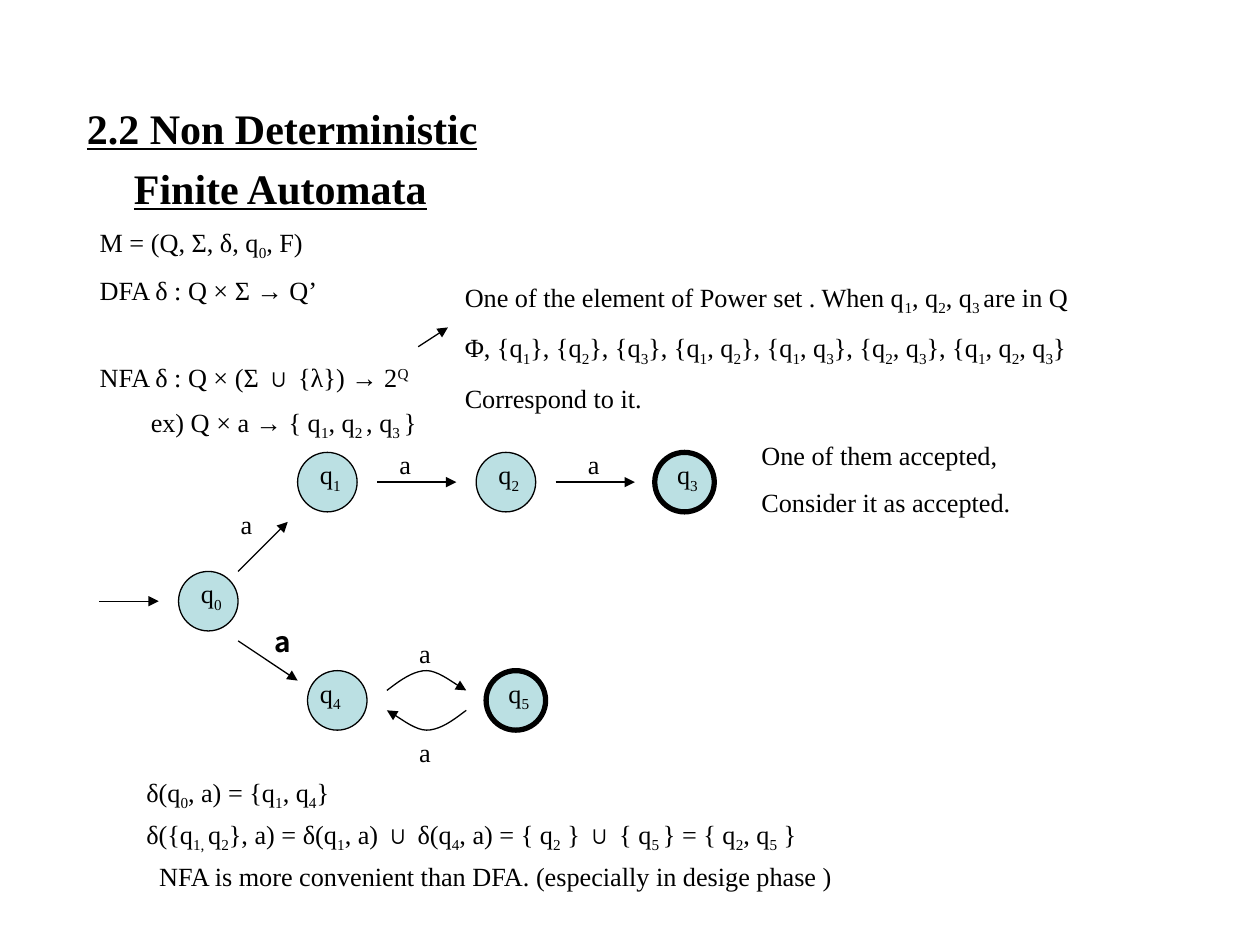
from lxml.etree import SubElement
from pptx import Presentation
from pptx.dml.color import RGBColor
from pptx.enum.shapes import MSO_CONNECTOR as Connector, MSO_SHAPE as Shape
from pptx.oxml.ns import qn
from pptx.util import Cm, Inches, Pt

SERIF = "Times New Roman"
BLACK = "000000"
NODE_SIZE = 1.2
NODES = [
    ("0", 1.6, 2.4, False), ("1", 4, 0, False), ("2", 7.6, 0, False),
    ("3", 11.2, 0, True), ("4", 4.2, 4.4, False), ("5", 7.8, 4.4, True),
]
TRANSITIONS = [
    (0, 3, 1.2, 3), (2.8, 2.4, 3.8, 1.4), (5.6, 0.6, 7.2, 0.6),
    (9.2, 0.6, 10.8, 0.6), (2.8, 3.8, 4, 4.6),
]
INPUT_LABELS = [(6.2, 5.6), (9.6, -0.2), (5.8, -0.2), (2.6, 1), (6.2, 3.6)]
LOOP_CURVES = [
    ((5.8, 4.8), (6.06, 4.6), (6.33, 4.4), (6.6, 4.4)),
    ((6.6, 4.4), (6.86, 4.4), (7.2, 4.7), (7.4, 4.8)),
]


def color(value):
    """Turn a hex string into a colour."""
    return RGBColor.from_string(value)


def add_marked_runs(paragraph, marked):
    """Add runs; text between bars is a subscript, or a superscript after ^."""
    for index, part in enumerate(marked.split("|")):
        if not part:
            continue
        run = paragraph.add_run()
        run.text = part.lstrip("^")
        if index % 2:
            baseline = "30000" if part.startswith("^") else "-25000"
            run._r.get_or_add_rPr().set("baseline", baseline)


def add_text(shapes, box, lines, gap=0, size=15, font=SERIF, bold=False):
    """Place lines of text in a box and return its paragraphs."""
    frame = shapes.add_textbox(*map(Cm, box)).text_frame
    frame.word_wrap = True
    for index, line in enumerate(lines):
        paragraph = frame.add_paragraph() if index else frame.paragraphs[0]
        paragraph.font.name = font
        paragraph.font.size = Pt(size)
        paragraph.font.bold = bold
        paragraph.font.color.rgb = color(BLACK)
        if index:
            paragraph.space_before = Pt(gap)
        add_marked_runs(paragraph, line)
    return frame.paragraphs


def indent(paragraph, left, first=0):
    """Set the left margin and first-line indent of a paragraph."""
    properties = paragraph._p.get_or_add_pPr()
    properties.set("marL", str(Cm(left)))
    properties.set("indent", str(Cm(first)))


def style_arrow(arrow):
    """Give a line a thin black stroke and a triangular head."""
    arrow.line.color.rgb = color(BLACK)
    arrow.line.width = Pt(0.75)
    SubElement(arrow.line._get_or_add_ln(), qn("a:tailEnd"), type="triangle")


def add_arrow(shapes, x1, y1, x2, y2):
    """Draw a straight arrow."""
    arrow = shapes.add_connector(Connector.STRAIGHT, *map(Cm, (x1, y1, x2, y2)))
    style_arrow(arrow)
    SubElement(arrow._element.spPr, qn("a:effectLst"))


def add_curved_arrow(shapes, points):
    """Draw an arrow through the given points."""
    corners = [(Cm(x), Cm(y)) for x, y in points]
    builder = shapes.build_freeform(*corners[0])
    builder.add_line_segments(corners[1:], close=False)
    curve = builder.convert_to_shape()
    curve.shadow.inherit = False
    curve.fill.background()
    style_arrow(curve)


def bezier(start, control1, control2, end, steps=10):
    """Return points along a cubic curve, without its start."""
    points = []
    for step in range(1, steps + 1):
        t = step / steps
        weights = ((1 - t) ** 3, 3 * t * (1 - t) ** 2, 3 * t**2 * (1 - t), t**3)
        points.append(tuple(
            sum(w * value for w, value in zip(weights, axis))
            for axis in zip(start, control1, control2, end)
        ))
    return points


def add_state(shapes, left, top, number, accepting):
    """Draw one state of the automaton with its name."""
    state = shapes.add_shape(
        Shape.OVAL, *map(Cm, (left, top, NODE_SIZE, NODE_SIZE)))
    state.shadow.inherit = False
    state.fill.solid()
    state.fill.fore_color.rgb = color("BBE0E3")
    state.line.color.rgb = color(BLACK)
    state.line.width = Pt(3 if accepting else 0.75)
    shift = 0 if number == "4" else 0.2
    add_text(shapes, (left + shift, top, 1.6, 0.89), [f"q|{number}|"])


def add_definitions(shapes, left, top, width, height):
    """Write the heading and the definitions of both automata."""
    heading, *definitions = add_text(shapes, (left, top, width, height), [
        "2.2 Non Deterministic Finite Automata",
        "M = (Q, Σ, δ, q|0|, F)",
        "DFA δ : Q × Σ → Q’",
        "NFA δ : Q × (Σ ∪ {λ}) → 2|^Q|",
        "ex) Q × a → { q|1|, q|2 |, q|3 |}",
    ], gap=3.5)
    heading.font.size = Pt(24)
    heading.font.bold = True
    heading.font.underline = True
    indent(heading, 0.95, -0.95)
    for definition in definitions:
        indent(definition, 0.26)
    indent(definitions[-1], 1.29)
    definitions[2].space_before = Pt(28)
    for paragraph in (heading, *definitions):
        paragraph.line_spacing = 1.2


def add_power_set(shapes, left, top, width, height):
    """Explain the power set and point to it from the definition."""
    add_text(shapes, (left, top, width, height), [
        "One of the element of Power set . When q|1|, q|2|, q|3 |are in Q",
        "Φ, {q|1|}, {q|2|}, {q|3|}, {q|1|, q|2|}, {q|1|, q|3|}, "
        "{q|2|, q|3|}, {q|1|, q|2|, q|3|}",
        "Correspond to it.",
    ], gap=8.5)
    add_arrow(shapes, left - 0.69, top + 1.45, left - 0.09, top + 1.06)


def add_automaton(shapes, left, top):
    """Draw the state diagram."""
    diagram = shapes.add_group_shape().shapes
    for number, x, y, accepting in NODES:
        add_state(diagram, left + x, top + y, number, accepting)
    for x1, y1, x2, y2 in TRANSITIONS:
        add_arrow(diagram, left + x1, top + y1, left + x2, top + y2)
    forward = [LOOP_CURVES[0][0]]
    for curve in LOOP_CURVES:
        forward += bezier(*curve)
    backward = [(13.2 - x, 10 - y) for x, y in forward]
    for points in (forward, backward):
        add_curved_arrow(diagram, [(left + x, top + y) for x, y in points])
    for x, y in INPUT_LABELS:
        add_text(diagram, (left + x, top + y, 0.86, 0.89), ["a"])
    add_text(shapes, (left + 3.28, top + 3.35, 0.84, 0.94), ["a"],
             size=16, font="Noto Sans CJK KR", bold=True)


def add_acceptance(shapes, left, top, width, height):
    """State when the input is accepted."""
    add_text(shapes, (left, top, width, height),
             ["One of them accepted,", "Consider it as accepted."], gap=8.5)


def add_conclusion(shapes, left, top, width, height):
    """Write the transition results and the closing remark."""
    remark = add_text(shapes, (left, top, width, height), [
        "δ(q|0|, a) = {q|1|, q|4|}",
        "δ({q|1, |q|2|}, a) = δ(q|1|, a) ∪ δ(q|4|, a) = "
        "{ q|2| } ∪ { q|5 |} = { q|2|, q|5| }",
        "NFA is more convenient than DFA. (especially in desige phase )",
    ], gap=3.5)[-1]
    indent(remark, 0.26)


def main():
    """Build and save the slide."""
    deck = Presentation()
    deck.slide_width, deck.slide_height = Inches(10), Inches(7.5)
    shapes = deck.slides.add_slide(deck.slide_layouts[6]).shapes
    add_definitions(shapes, 1.5, 1.73, 10.6, 6)
    add_automaton(shapes, 2, 9.12)
    add_conclusion(shapes, 2.7, 15.52, 17, 3.9)
    add_acceptance(shapes, 15.1, 8.74, 9.4, 1.85)
    add_power_set(shapes, 9.12, 5.54, 13.8, 2.82)
    deck.save("out.pptx")


if __name__ == "__main__":
    main()
